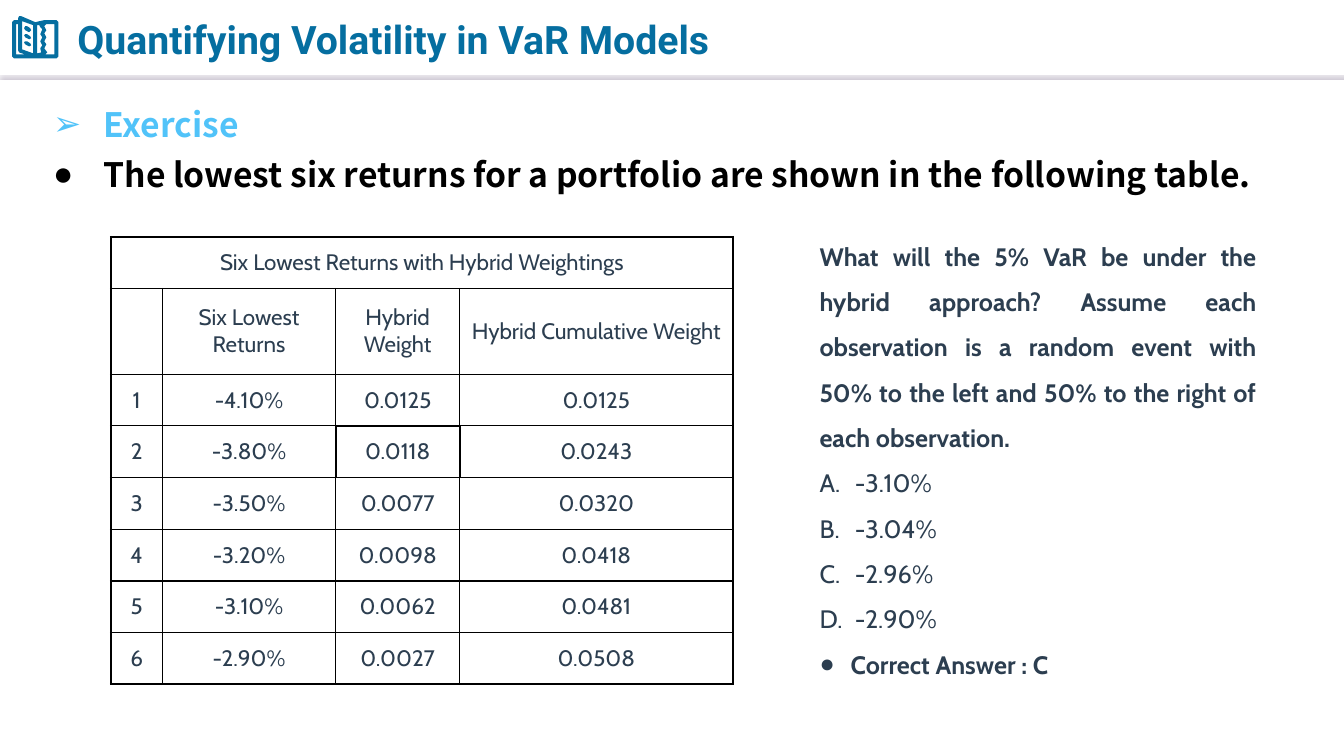
from dataclasses import dataclass

import lxml.etree
import pptx
import pptx.dml.color
import pptx.enum.shapes
import pptx.enum.text
import pptx.oxml
import pptx.oxml.ns
import pptx.util

Inches = pptx.util.Inches
ALIGN = pptx.enum.text.PP_ALIGN
MIDDLE = pptx.enum.text.MSO_ANCHOR.MIDDLE
qn = pptx.oxml.ns.qn


@dataclass(frozen=True)
class Theme:
    title_color: str = "056EA0"
    accent: str = "51C3F9"
    black: str = "000000"
    ink: str = "2C3E50"
    rule: str = "FFFFFF"
    rule_shadow: str = "BCB4C4"
    title_font: str = "Roboto"
    body_font: str = "Noto Sans CJK SC"
    text_font: str = "Cabin"
    title_size: int = 28
    body_size: int = 24
    question_size: int = 18
    table_size: int = 16
    thin: float = 1
    thick: float = 1.5


class SlideBuilder:
    def __init__(self, slide, theme):
        self.slide = slide
        self.theme = theme

    def rgb(self, color):
        return pptx.dml.color.RGBColor.from_string(color)

    def run(self, paragraph, text, size, font, color, bold=False):
        run = paragraph.add_run()
        run.text = text
        run.font.size = pptx.util.Pt(size)
        run.font.name = font
        run.font.bold = bold
        run.font.color.rgb = self.rgb(color)
        props = run.font._element
        east_asian = lxml.etree.SubElement(props, qn("a:ea"))
        east_asian.set("typeface", font)

    def bullet(self, paragraph, kind, value, indent, color):
        props = paragraph._p.get_or_add_pPr()
        props.set("marL", str(Inches(indent)))
        props.set("indent", str(-Inches(indent)))
        bullet_color = lxml.etree.SubElement(props, qn("a:buClr"))
        lxml.etree.SubElement(bullet_color, qn("a:srgbClr")).set("val", color)
        if kind == "char":
            lxml.etree.SubElement(props, qn("a:buFont")).set("typeface", "Arial")
            lxml.etree.SubElement(props, qn("a:buChar")).set("char", value)
        else:
            lxml.etree.SubElement(props, qn("a:buAutoNum")).set("type", value)

    def text(self, box, lines, size, font, spacing=1.0, align=ALIGN.LEFT, anchor=None):
        frame = self.slide.shapes.add_textbox(*map(Inches, box)).text_frame
        frame.word_wrap = True
        if anchor is not None:
            frame.vertical_anchor = anchor
        for index, (words, color, bold, marker) in enumerate(lines):
            paragraph = frame.add_paragraph() if index else frame.paragraphs[0]
            paragraph.alignment = align
            paragraph.line_spacing = spacing
            if marker:
                self.bullet(paragraph, *marker, color)
            self.run(paragraph, words, size, font, color, bold)

    def header_rule(self, y, width):
        rule = self.slide.shapes.add_connector(
            pptx.enum.shapes.MSO_CONNECTOR.STRAIGHT,
            Inches(0), Inches(y), Inches(width), Inches(y))
        rule.line.color.rgb = self.rgb(self.theme.rule)
        rule.line.width = pptx.util.Pt(0.75)
        effects = lxml.etree.SubElement(rule._element.spPr, qn("a:effectLst"))
        shadow = lxml.etree.SubElement(effects, qn("a:outerShdw"))
        shadow.set("blurRad", str(pptx.util.Pt(1)))
        shadow.set("dist", str(pptx.util.Pt(3)))
        shadow.set("dir", "5400000")
        shadow.set("algn", "t")
        shadow.set("rotWithShape", "0")
        lxml.etree.SubElement(shadow, qn("a:srgbClr")).set("val", self.theme.rule_shadow)

    def icon(self, outlines, color):
        first, *others = outlines
        builder = self.slide.shapes.build_freeform(*first[0], scale=Inches(1) / 100)
        builder.add_line_segments(first[1:], close=True)
        for outline in others:
            builder.move_to(*outline[0])
            builder.add_line_segments(outline[1:], close=True)
        shape = builder.convert_to_shape()
        shape.shadow.inherit = False
        shape.fill.solid()
        shape.fill.fore_color.rgb = self.rgb(color)
        shape.line.fill.background()

    def borders(self, cell, widths):
        props = cell._tc.get_or_add_tcPr()
        for side, width in widths.items():
            line = lxml.etree.SubElement(props, qn("a:ln" + side))
            line.set("w", str(pptx.util.Pt(width)))
            fill = lxml.etree.SubElement(line, qn("a:solidFill"))
            lxml.etree.SubElement(fill, qn("a:srgbClr")).set("val", self.theme.black)

    def table(self, box, caption, rows, col_widths, row_heights, focus):
        theme = self.theme
        row_count, col_count = len(row_heights), len(col_widths)
        table = self.slide.shapes.add_table(
            row_count, col_count, *map(Inches, box)).table
        table.first_row = table.horz_banding = False
        for column, width in zip(table.columns, col_widths):
            column.width = Inches(width)
        for row, height in zip(table.rows, row_heights):
            row.height = Inches(height)
        table.cell(0, 0).merge(table.cell(0, col_count - 1))
        contents = [[caption] + [""] * (col_count - 1)] + rows
        for r, values in enumerate(contents):
            for c, value in enumerate(values):
                cell = table.cell(r, c)
                last = col_count - 1 if r == 0 else c
                neighbours = {"L": (r, c - 1), "R": (r, last + 1),
                              "T": (r - 1, c), "B": (r + 1, c)}
                self.borders(cell, {
                    side: theme.thick
                    if (r, c) == focus or (nr, nc) == focus
                    or not (0 <= nr < row_count and 0 <= nc < col_count)
                    else theme.thin
                    for side, (nr, nc) in neighbours.items()})
                cell.fill.background()
                cell.vertical_anchor = MIDDLE
                cell.margin_left = cell.margin_right = Inches(0.04)
                cell.margin_top = cell.margin_bottom = Inches(0.04)
                if value:
                    paragraph = cell.text_frame.paragraphs[0]
                    paragraph.alignment = ALIGN.CENTER
                    self.run(paragraph, value, theme.table_size, theme.text_font, theme.ink)


BOOK = [
    [(21, 16), (35, 22), (44, 20), (56, 20), (58, 22), (58, 56), (56, 58),
     (14, 58), (12, 56), (12, 22), (14, 20), (18, 20), (18, 18), (19, 16.5)],
    [(22, 21), (22, 49), (33, 53), (33, 25)],
    [(16, 24), (16, 54), (25, 54), (19, 52), (18, 50), (18, 24)],
    [(39, 25), (37, 25), (37, 53), (41, 52), (39.5, 48.5), (42, 45), (39.5, 41),
     (42, 37), (39.5, 33.5), (42, 29), (39.5, 27)],
    [(46, 24), (44, 26), (46.5, 29.5), (44, 33), (46.5, 37), (44, 41),
     (46.5, 44.5), (44, 48), (47, 52), (45, 54), (54, 54), (54, 24)],
] + [[(25, y), (27, y), (30, y + 2), (31, y + 4), (29, y + 5.5), (25, y + 3.5), (24, y + 1.5)]
     for y in (26, 33.5, 41)]

RETURNS = [
    ["", "Six Lowest Returns", "Hybrid Weight", "Hybrid Cumulative Weight"],
    ["1", "-4.10%", "0.0125", "0.0125"],
    ["2", "-3.80%", "0.0118", "0.0243"],
    ["3", "-3.50%", "0.0077", "0.0320"],
    ["4", "-3.20%", "0.0098", "0.0418"],
    ["5", "-3.10%", "0.0062", "0.0481"],
    ["6", "-2.90%", "0.0027", "0.0508"],
]

QUESTION = ("What will the 5% VaR be under the hybrid approach? Assume each observation "
            "is a random event with 50% to the left and 50% to the right of each observation.")
CHOICES = ["-3.10%", "-3.04%", "-2.96%", "-2.90%"]


def main():
    theme = Theme()
    deck = pptx.Presentation()
    deck.slide_width, deck.slide_height = Inches(13.33), Inches(7.5)
    page = SlideBuilder(deck.slides.add_slide(deck.slide_layouts[6]), theme)

    page.header_rule(0.73, 13.33)
    page.icon(BOOK, theme.title_color)
    page.text((0.67, 0.07, 7.36, 0.63),
              [("Quantifying Volatility in VaR Models", theme.title_color, True, None)],
              theme.title_size, theme.title_font, anchor=MIDDLE)
    page.text((0.43, 0.89, 12.53, 1.3), [
        ("Exercise", theme.accent, True, ("char", "➢", 0.5)),
        ("The lowest six returns for a portfolio are shown in the following table.",
         theme.black, True, ("char", "●", 0.5)),
    ], theme.body_size, theme.body_font, spacing=1.23)

    header_height = 0.85
    row_height = (4.44 - header_height) / 7
    page.table((1.1, 2.35, 6.17, 4.44), "Six Lowest Returns with Hybrid Weightings", RETURNS,
               [0.51, 1.72, 1.23, 2.71],
               [row_height, header_height] + [row_height] * 6, focus=(3, 2))

    choices = [(choice, theme.ink, False, ("number", "alphaUcPeriod", 0.35))
               for choice in CHOICES]
    answer = ("Correct Answer : C", theme.ink, True, ("char", "●", 0.31))
    page.text((8.03, 2.19, 4.53, 4.59), [(QUESTION, theme.ink, True, None), *choices, answer],
              theme.question_size, theme.text_font, spacing=1.5, align=ALIGN.JUSTIFY)
    deck.save("out.pptx")


if __name__ == "__main__":
    main()
